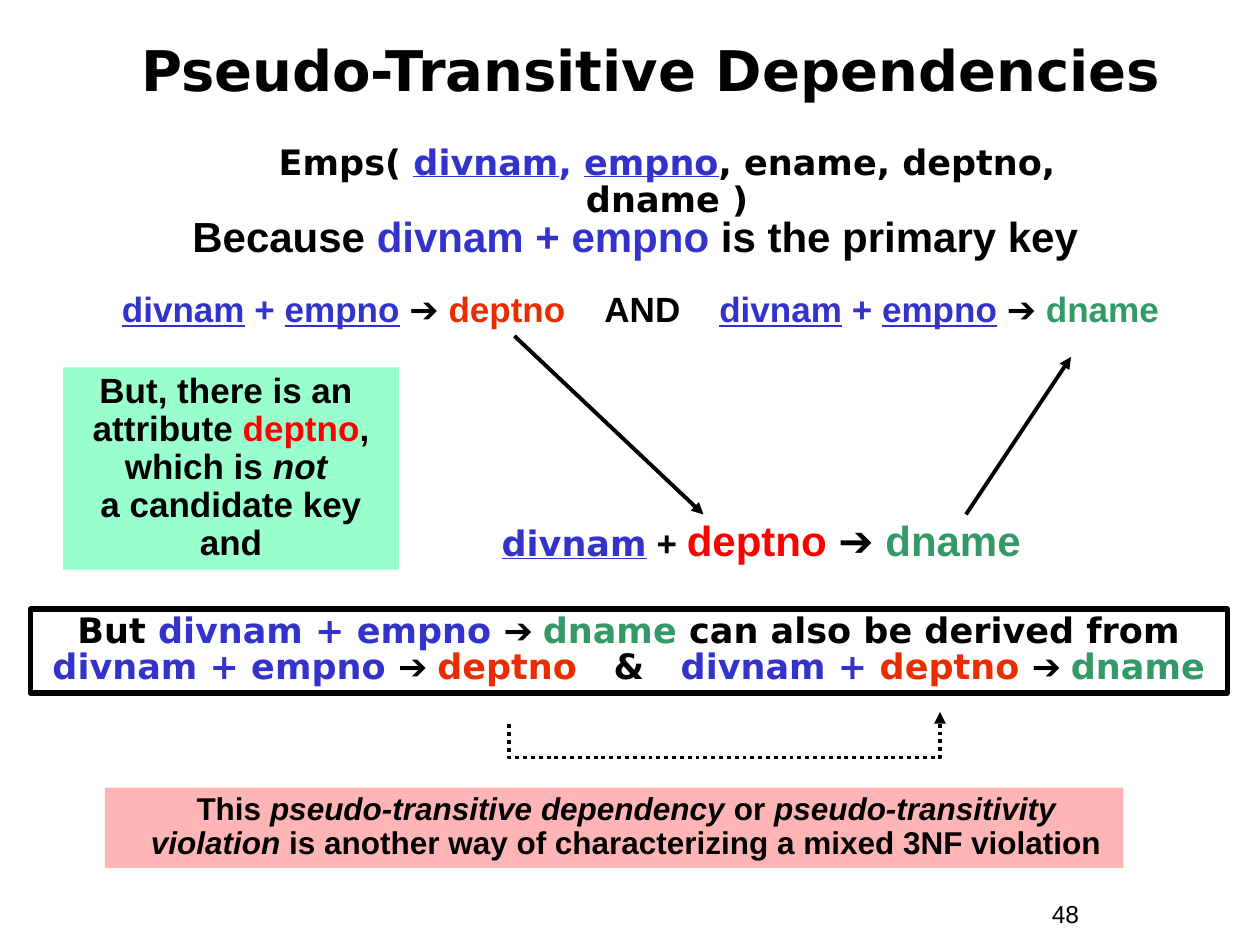
import pptx
import pptx.dml.color
import pptx.enum.dml
import pptx.enum.shapes
import pptx.enum.text
import pptx.oxml.ns
import pptx.util
from lxml import etree

Pt = pptx.util.Pt
CONNECTOR = pptx.enum.shapes.MSO_CONNECTOR
ALIGN = pptx.enum.text.PP_ALIGN
ANCHOR = pptx.enum.text.MSO_ANCHOR

SANS = "Arial"
WIDE = "DejaVu Sans"
BLACK = "000000"
BLUE = "3333CC"
ORANGE = "EA2D00"
RED = "FF0000"
GREEN = "339966"
ARROW = ("➔ ", BLACK, {"name": SANS})
UNDERLINED = {"underline": True}
ITALIC = {"italic": True}
KEY = [("divnam", BLUE, UNDERLINED), (" + ", BLUE),
       ("empno", BLUE, UNDERLINED), (" ➔ ",)]


def rgb(hex_colour):
    return pptx.dml.color.RGBColor.from_string(hex_colour)


def add_run(paragraph, text, colour=BLACK, style=None, gap=0):
    for index, line in enumerate(text.split("\n")):
        if index:
            paragraph.add_line_break()
        if not line:
            continue
        run = paragraph.add_run()
        run.text = line
        if colour != BLACK:
            run.font.color.rgb = rgb(colour)
        for attribute, value in (style or {}).items():
            setattr(run.font, attribute, value)
        if gap:
            run.font._element.set("spc", str(round(gap * 100)))


def fill_text(shape, runs, font, size, bold=True, spacing=0.9, indent=0,
              align=ALIGN.CENTER, anchor=ANCHOR.TOP):
    frame = shape.text_frame
    frame.word_wrap = True
    frame.vertical_anchor = anchor
    paragraph = frame.paragraphs[0]
    paragraph.alignment = align
    paragraph.line_spacing = spacing
    if indent:
        properties = paragraph._p.get_or_add_pPr()
        properties.set("marL", str(Pt(indent)))
        properties.set("indent", "0")
    paragraph.font.name = font
    paragraph.font.size = Pt(size)
    paragraph.font.bold = bold
    paragraph.font.color.rgb = rgb(BLACK)
    for run in runs:
        add_run(paragraph, *run)


def add_text(slide, box, runs, font, size, **layout):
    label = slide.shapes.add_textbox(*map(Pt, box))
    fill_text(label, runs, font, size, **layout)


def add_panel(slide, box, runs, font, size, fill=None, border=0, **layout):
    panel = slide.shapes.add_shape(
        pptx.enum.shapes.MSO_SHAPE.RECTANGLE, *map(Pt, box))
    panel.shadow.inherit = False
    if fill:
        panel.fill.solid()
        panel.fill.fore_color.rgb = rgb(fill)
    else:
        panel.fill.background()
    if border:
        panel.line.color.rgb = rgb(BLACK)
        panel.line.width = Pt(border)
    else:
        panel.line.fill.background()
    fill_text(panel, runs, font, size, **layout)


def add_arrow(slide, points, kind=CONNECTOR.STRAIGHT, dash=None):
    arrow = slide.shapes.add_connector(kind, *map(Pt, points))
    arrow.line.color.rgb = rgb(BLACK)
    arrow.line.width = Pt(2.25)
    if dash:
        arrow.line.dash_style = dash
    qn = pptx.oxml.ns.qn
    etree.SubElement(arrow.line._ln, qn("a:tailEnd"), type="triangle")
    etree.SubElement(arrow._element.spPr, qn("a:effectLst"))
    return arrow


def add_derivation_arrow(slide):
    arrow = add_arrow(slide, (417.6, 533.5, 410.4, 287.3), CONNECTOR.ELBOW,
                      pptx.enum.dml.MSO_LINE.ROUND_DOT)
    qn = pptx.oxml.ns.qn
    properties = arrow._element.spPr
    properties.find(qn("a:xfrm")).set("rot", str(90 * 60000))
    geometry = properties.find(qn("a:prstGeom"))
    adjustments = geometry.find(qn("a:avLst"))
    if adjustments is None:
        adjustments = etree.SubElement(geometry, qn("a:avLst"))
    etree.SubElement(adjustments, qn("a:gd"), name="adj1", fmla="val -262600")


def main():
    deck = pptx.Presentation()
    deck.slide_width, deck.slide_height = Pt(720), Pt(540)
    slide = deck.slides.add_slide(deck.slide_layouts[6])

    add_text(slide, (594, 510, 66, 24), [("48",)], SANS, 14,
             bold=False, spacing=1.0, align=ALIGN.LEFT)
    add_text(slide, (60, 18.7, 624, 48), [("Pseudo-Transitive Dependencies",)],
             WIDE, 32, spacing=0.85, anchor=ANCHOR.MIDDLE)
    add_arrow(slide, (294, 192, 402, 294))
    add_arrow(slide, (552, 294, 612, 204))

    add_panel(slide, (17.3, 348, 684, 48), [
        ("But",), (" divnam + empno ", BLUE), ARROW, ("dname", GREEN),
        (" can also be derived from\n",),
        ("divnam + empno ", BLUE), ARROW, ("deptno", ORANGE),
        (" ", BLACK, None, 13.9), ("&",), (" ", BLACK, None, 13.9),
        ("divnam + ", BLUE), ("deptno ", ORANGE), ARROW, ("dname", GREEN),
    ], WIDE, 20, border=3, spacing=0.85)

    add_text(slide, (84, 120, 558, 33), [
        ("Because ",), ("divnam + empno", BLUE), (" is the primary key",),
    ], SANS, 24)
    add_text(slide, (122.4, 79.2, 504, 28.8), [
        ("Emps( ",), ("divnam", BLUE, UNDERLINED), (", ", BLUE, UNDERLINED and None),
        ("empno", BLUE, UNDERLINED), (", ename, deptno, dname )",),
    ], WIDE, 20, indent=13.7)
    add_text(slide, (54, 163.5, 624, 28.8), [
        *KEY, ("deptno", ORANGE),
        (" ", BLACK, None, 16.7), ("AND",), (" ", BLACK, None, 16.7),
        *KEY, ("dname", GREEN),
    ], SANS, 20)

    add_panel(slide, (36, 210, 192, 115.5), [
        ("But, there is an \nattribute ",), ("deptno", RED),
        (",\nwhich is ",), ("not \n", BLACK, ITALIC), ("a candidate key\nand",),
    ], SANS, 20, fill="99FFCC")
    add_text(slide, (270, 294, 330, 33), [
        ("divnam", BLUE, {"name": WIDE, "size": Pt(20), "underline": True}),
        (" + ", BLACK, {"size": Pt(20)}),
        ("deptno ", RED), ("➔ ",), ("dname", GREEN),
    ], SANS, 24)

    add_derivation_arrow(slide)
    add_panel(slide, (60, 450, 582, 46), [
        ("This ",), ("pseudo-transitive dependency ", BLACK, ITALIC), ("or ",),
        ("pseudo-transitivity violation", BLACK, ITALIC),
        (" is another way of characterizing a mixed 3NF violation",),
    ], SANS, 18, fill="FFB5B5", indent=13.7)

    deck.save("out.pptx")


if __name__ == "__main__":
    main()
